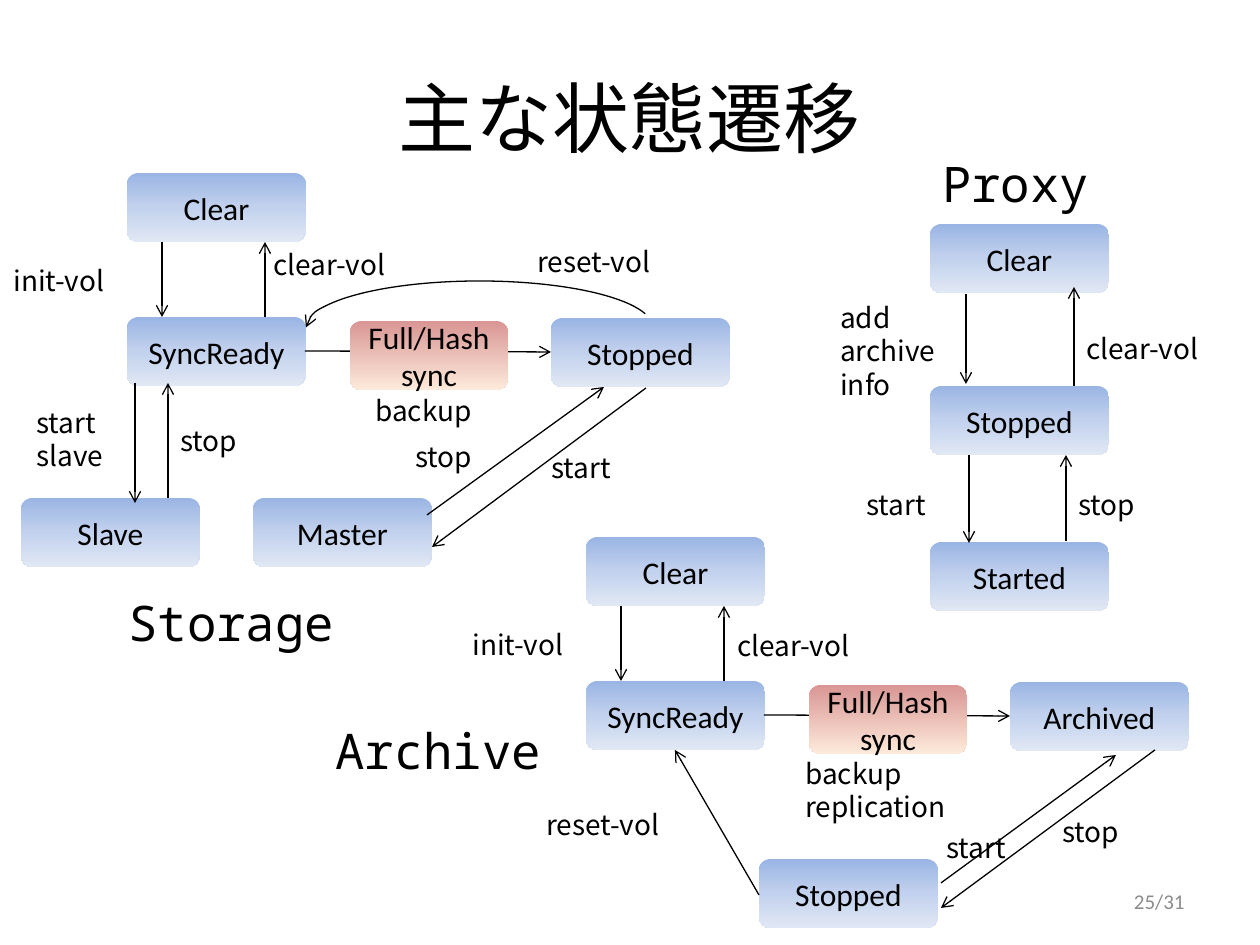
from lxml.etree import SubElement
from pptx import Presentation
from pptx.dml.color import RGBColor
from pptx.enum.shapes import MSO_CONNECTOR, MSO_SHAPE
from pptx.enum.text import MSO_ANCHOR, PP_ALIGN
from pptx.oxml.ns import qn
from pptx.util import Emu, Pt

PIXEL = 914400 // 126
COLORS = {"text": "000000", "line": "000000", "number": "8C8C8C"}
GRADIENTS = {
    "state": [(0, "9AB5E4"), (50, "C2D1ED"), (100, "E1E8F5")],
    "sync": [(0, "D99694"), (100, "FDEADA")],
}
FORMATS = {
    "title": {"name": "Calibri", "size": Pt(44)},
    "heading": {"name": "Noto Sans Mono", "size": Pt(28)},
    "state": {"name": "Calibri", "size": Pt(18)},
    "label": {"name": "Noto Sans CJK KR", "size": Pt(16)},
    "number": {"name": "Calibri", "size": Pt(12)},
}
STATE_SIZE = (179, 69)
SYNC_SIZE = (158, 69)


def pixels(*values):
    return [Emu(round(value * PIXEL)) for value in values]


def write_text(shape, text, style, alignment=PP_ALIGN.LEFT,
               anchor=MSO_ANCHOR.TOP, color="text"):
    frame = shape.text_frame
    frame.word_wrap = True
    frame.vertical_anchor = anchor
    frame.text = text
    for paragraph in frame.paragraphs:
        paragraph.alignment = alignment
        if style == "label":
            paragraph.line_spacing = Pt(19.2)
        for run in paragraph.runs:
            for name, value in FORMATS[style].items():
                setattr(run.font, name, value)
            run.font.color.rgb = RGBColor.from_string(COLORS[color])


def add_text(shapes, box, text, style, **options):
    write_text(shapes.add_textbox(*pixels(*box)), text, style, **options)


def add_labels(shapes, left, top, labels):
    for x, y, width, text in labels:
        height = 13 + 34 * len(text.split("\n"))
        add_text(shapes, (left + x, top + y, width, height), text, "label")


def add_heading(shapes, left, top, width, text):
    add_text(shapes, (left, top, width, 72), text, "heading")


def add_node(shapes, left, top, text, kind="state"):
    size = SYNC_SIZE if kind == "sync" else STATE_SIZE
    node = shapes.add_shape(MSO_SHAPE.ROUNDED_RECTANGLE,
                            *pixels(left, top, *size))
    node.shadow.inherit = False
    node.line.fill.background()
    node.fill.gradient()
    node.fill.gradient_angle = 270
    stops = node.element.spPr.find(qn("a:gradFill")).find(qn("a:gsLst"))
    for stop in list(stops):
        stops.remove(stop)
    for position, color in GRADIENTS[kind]:
        stop = SubElement(stops, qn("a:gs"), pos=str(position * 1000))
        SubElement(stop, qn("a:srgbClr"), val=color)
    write_text(node, text, "state", PP_ALIGN.CENTER, MSO_ANCHOR.MIDDLE)


def add_nodes(shapes, left, top, nodes):
    for x, y, text in nodes:
        add_node(shapes, left + x, top + y, text)


def style_arrow(shape):
    shape.line.color.rgb = RGBColor.from_string(COLORS["line"])
    shape.line.width = Pt(0.75)
    SubElement(shape.line._get_or_add_ln(), qn("a:tailEnd"), type="arrow")


def add_arrows(shapes, left, top, arrows):
    for x1, y1, x2, y2 in arrows:
        ends = pixels(left + x1, top + y1, left + x2, top + y2)
        arrow = shapes.add_connector(MSO_CONNECTOR.STRAIGHT, *ends)
        style_arrow(arrow)
        SubElement(arrow.element.spPr, qn("a:effectLst"))


def add_return_arc(shapes, left, top, width, height):
    arc = shapes.add_shape(MSO_SHAPE.ARC, *pixels(left, top, width, height))
    arc.adjustments[0] = 110.844
    arc.adjustments[1] = 0
    arc.element.spPr.find(qn("a:xfrm")).set("flipH", "1")
    arc.fill.background()
    style_arrow(arc)
    arc.shadow.inherit = False


def add_sync_path(shapes, left, top, target):
    add_nodes(shapes, left, top, [
        (0, 0, "Clear"), (0, 144, "SyncReady"), (424, 145, target)])
    add_arrows(shapes, left, top, [
        (138, 144, 138, 69), (35, 69, 35, 144), (178, 178, 424, 179)])
    add_node(shapes, left + 223, top + 148, "Full/Hash\u0020sync", "sync")
    add_labels(shapes, left, top, [(-126, 84, 161, "init-vol")])


def add_storage(slide, left, top):
    shapes = slide.shapes.add_group_shape().shapes
    add_sync_path(shapes, left + 127, top, "Stopped")
    add_nodes(shapes, left, top, [(253, 325, "Master"), (21, 325, "Slave")])
    add_heading(shapes, left + 116, top + 413, 233, "Storage")
    add_arrows(shapes, left, top, [
        (646, 215, 432, 374), (427, 342, 604, 214),
        (135, 210, 135, 330), (168, 325, 168, 210)])
    add_return_arc(shapes, left + 306, top + 108, 347, 93)
    add_labels(shapes, left, top, [
        (261, 68, 195, "clear-vol"), (525, 65, 205, "reset-vol"),
        (363, 214, 159, "backup"), (539, 271, 112, "start"),
        (403, 260, 112, "stop"), (24, 226, 120, "start\nslave"),
        (168, 244, 120, "stop")])


def add_archive(slide, left, top):
    shapes = slide.shapes.add_group_shape().shapes
    add_heading(shapes, left, top + 177, 233, "Archive")
    add_sync_path(shapes, left + 263, top, "Archived")
    add_nodes(shapes, left, top, [(436, 322, "Stopped")])
    add_arrows(shapes, left, top, [
        (832, 213, 618, 371), (436, 358, 352, 213), (618, 346, 793, 218)])
    add_labels(shapes, left, top, [
        (402, 85, 195, "clear-vol"), (211, 264, 205, "reset-vol"),
        (470, 213, 218, "backup\nreplication"),
        (727, 271, 112, "stop"), (611, 287, 112, "start")])


def add_proxy(slide, left, top):
    shapes = slide.shapes.add_group_shape().shapes
    add_heading(shapes, left + 102, top, 179, "Proxy")
    add_nodes(shapes, left, top, [
        (102, 77, "Clear"), (102, 239, "Stopped"), (102, 395, "Started")])
    add_arrows(shapes, left, top, [
        (138, 147, 138, 237), (238, 394, 238, 308),
        (141, 308, 141, 396), (246, 239, 246, 140)])
    add_labels(shapes, left, top, [
        (0, 147, 164, "add\narchive\ninfo"), (26, 334, 112, "start"),
        (238, 334, 112, "stop"), (246, 178, 195, "clear-vol")])


def add_title(slide, box):
    add_text(slide.shapes, box, "主な状態遷移", "title",
             alignment=PP_ALIGN.CENTER, anchor=MSO_ANCHOR.MIDDLE)


def add_page_number(slide, box):
    add_text(slide.shapes, box, "25/31", "number",
             alignment=PP_ALIGN.RIGHT, anchor=MSO_ANCHOR.MIDDLE,
             color="number")


presentation = Presentation()
presentation.slide_width, presentation.slide_height = pixels(1260, 945)
slide = presentation.slides.add_slide(presentation.slide_layouts[6])
add_proxy(slide, 828, 147)
add_archive(slide, 323, 537)
add_storage(slide, 0, 173)
add_title(slide, (63, 38, 1134, 157))
add_page_number(slide, (903, 876, 294, 50))
presentation.save("out.pptx")
